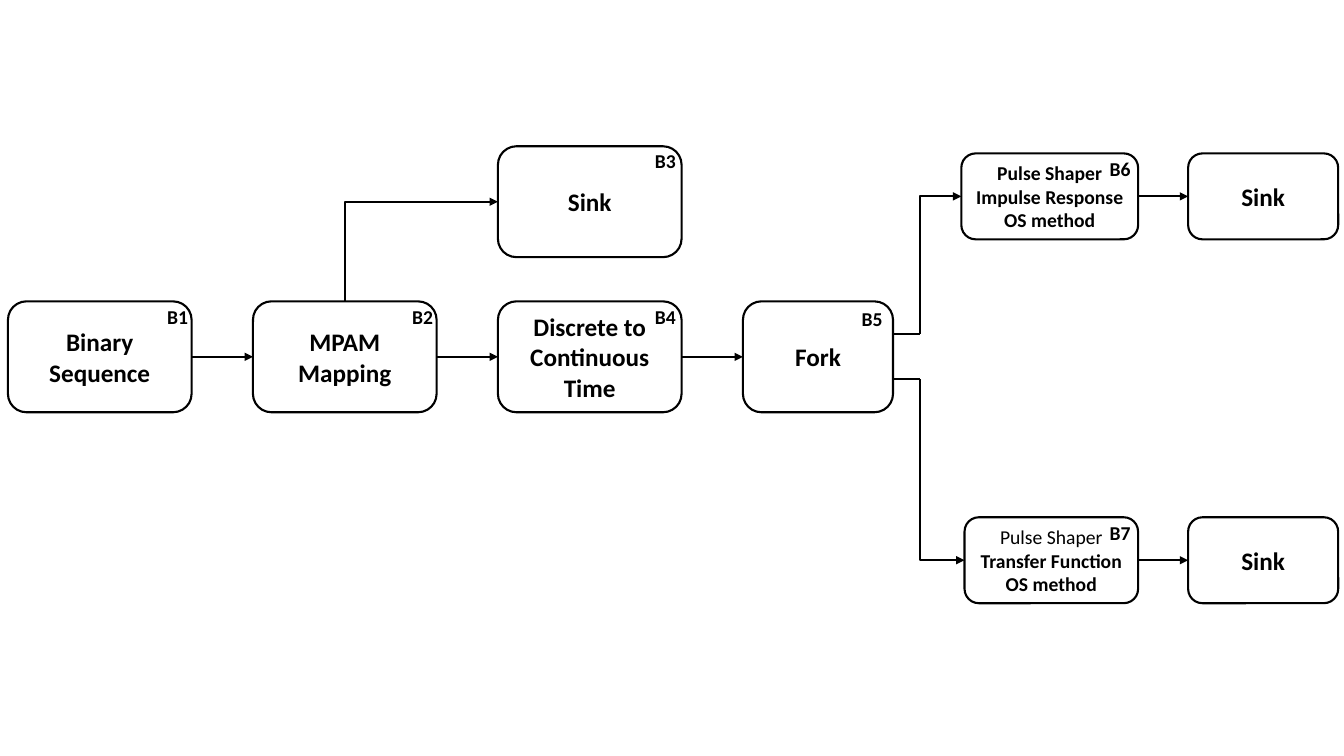
from lxml import etree
from pptx import Presentation
from pptx.dml.color import RGBColor
from pptx.enum.shapes import MSO_CONNECTOR, MSO_SHAPE
from pptx.enum.text import MSO_ANCHOR, MSO_AUTO_SIZE, PP_ALIGN
from pptx.oxml.ns import qn
from pptx.util import Pt

STRAIGHT, ELBOW = MSO_CONNECTOR.STRAIGHT, MSO_CONNECTOR.ELBOW
ROUNDED = MSO_SHAPE.ROUNDED_RECTANGLE
MIDDLE = MSO_ANCHOR.MIDDLE
FIT_SHAPE = MSO_AUTO_SIZE.SHAPE_TO_FIT_TEXT
LEFT, CENTER = PP_ALIGN.LEFT, PP_ALIGN.CENTER
BLACK = RGBColor(0x00, 0x00, 0x00)
WHITE = RGBColor(0xFF, 0xFF, 0xFF)
LEFT_SIDE, RIGHT_SIDE = 1, 3


def write_text(frame, lines, size=18, align=LEFT, plain_lines=()):
    """Fill a text frame with one paragraph per line, bold unless listed as plain."""
    for index, line in enumerate(lines):
        paragraph = frame.paragraphs[0] if index == 0 else frame.add_paragraph()
        paragraph.alignment = align
        run = paragraph.add_run()
        run.text = line
        run.font.name = "Calibri"
        run.font.size = Pt(size)
        run.font.bold = index not in plain_lines
        run.font.color.rgb = BLACK


class Diagram:
    line_width = 1.5

    def __init__(self, slide):
        self.slide = slide

    def block(self, left, top, width, height, *lines, size=18, plain_lines=()):
        shape = self.slide.shapes.add_shape(ROUNDED, Pt(left), Pt(top), Pt(width), Pt(height))
        shape.shadow.inherit = False
        shape.fill.solid()
        shape.fill.fore_color.rgb = WHITE
        shape.line.color.rgb = BLACK
        shape.line.width = Pt(self.line_width)
        shape.text_frame.word_wrap = True
        shape.text_frame.vertical_anchor = MIDDLE
        write_text(shape.text_frame, lines, size=size, align=CENTER, plain_lines=plain_lines)
        return shape

    def label(self, left, top, text):
        box = self.slide.shapes.add_textbox(Pt(left), Pt(top), Pt(31), Pt(24.2))
        box.text_frame.word_wrap = True
        box.text_frame.auto_size = FIT_SHAPE
        write_text(box.text_frame, [text], size=14)

    def line(self, start, end, kind=STRAIGHT, arrow_tag=None):
        connector = self.slide.shapes.add_connector(kind, *map(Pt, start + end))
        connector.line.color.rgb = BLACK
        connector.line.width = Pt(self.line_width)
        if arrow_tag:
            etree.SubElement(connector.line._get_or_add_ln(), qn(arrow_tag), type="triangle")
        etree.SubElement(connector._element.spPr, qn("a:effectLst"))
        return connector

    def arrow(self, source, target):
        connector = self.line((0, 0), (0, 0), arrow_tag="a:tailEnd")
        connector.begin_connect(source, RIGHT_SIDE)
        connector.end_connect(target, LEFT_SIDE)

    def elbow(self, start, target):
        """Run vertically from start, then across to the left side of target."""
        entry = (target.left.pt, (target.top + target.height / 2) / Pt(1))
        connector = self.line(entry, start, kind=ELBOW, arrow_tag="a:headEnd")
        connector._element.spPr.find(qn("a:prstGeom")).set("prst", "bentConnector2")


def main():
    presentation = Presentation()
    presentation.slide_width, presentation.slide_height = Pt(960), Pt(540)
    diagram = Diagram(presentation.slides.add_slide(presentation.slide_layouts[6]))

    # Main chain
    chain_top, block_width, block_height, pitch = 215.3, 131.2, 79.2, 175
    chain_texts = [("Binary Sequence",), ("MPAM Mapping",),
                   ("Discrete to", "Continuous", "Time"), ("Fork",)]
    chain = []
    for index, lines in enumerate(chain_texts):
        width = 107.2 if lines == ("Fork",) else block_width
        chain.append(diagram.block(5.7 + index * pitch, chain_top, width, block_height, *lines))
    for source, target in zip(chain, chain[1:]):
        diagram.arrow(source, target)

    # Sink above the chain
    upper_sink = diagram.block(chain[2].left.pt, 104.5, block_width, block_height, "Sink")
    diagram.elbow((246.3, chain_top), upper_sink)

    # Two branches after the fork
    fork_right = chain[3].left.pt + 107.2
    bend, shaper_right, branch_height = 657, 813, 61.4
    branches = [
        (109.6, 686.7, 238.4, "Impulse Response", ()),
        (369.5, 689, 270.7, "Transfer Function", (0,)),
    ]
    for top, left, exit_height, method, plain_lines in branches:
        shaper = diagram.block(left, top, shaper_right - left, branch_height,
                               "Pulse Shaper", method, "OS method",
                               size=14, plain_lines=plain_lines)
        sink = diagram.block(848.7, top, 107.2, branch_height, "Sink")
        diagram.line((fork_right, exit_height), (bend, exit_height))
        diagram.elbow((bend, exit_height), shaper)
        diagram.arrow(shaper, sink)

    # Block numbers
    labels = [(112.3, 214.6), (287.3, 214.6), (460.8, 103), (460.8, 214.6),
              (608.4, 216), (785.5, 108.7), (785.5, 368.6)]
    for number, (left, top) in enumerate(labels, start=1):
        diagram.label(left, top, f"B{number}")

    presentation.save("out.pptx")


if __name__ == "__main__":
    main()
